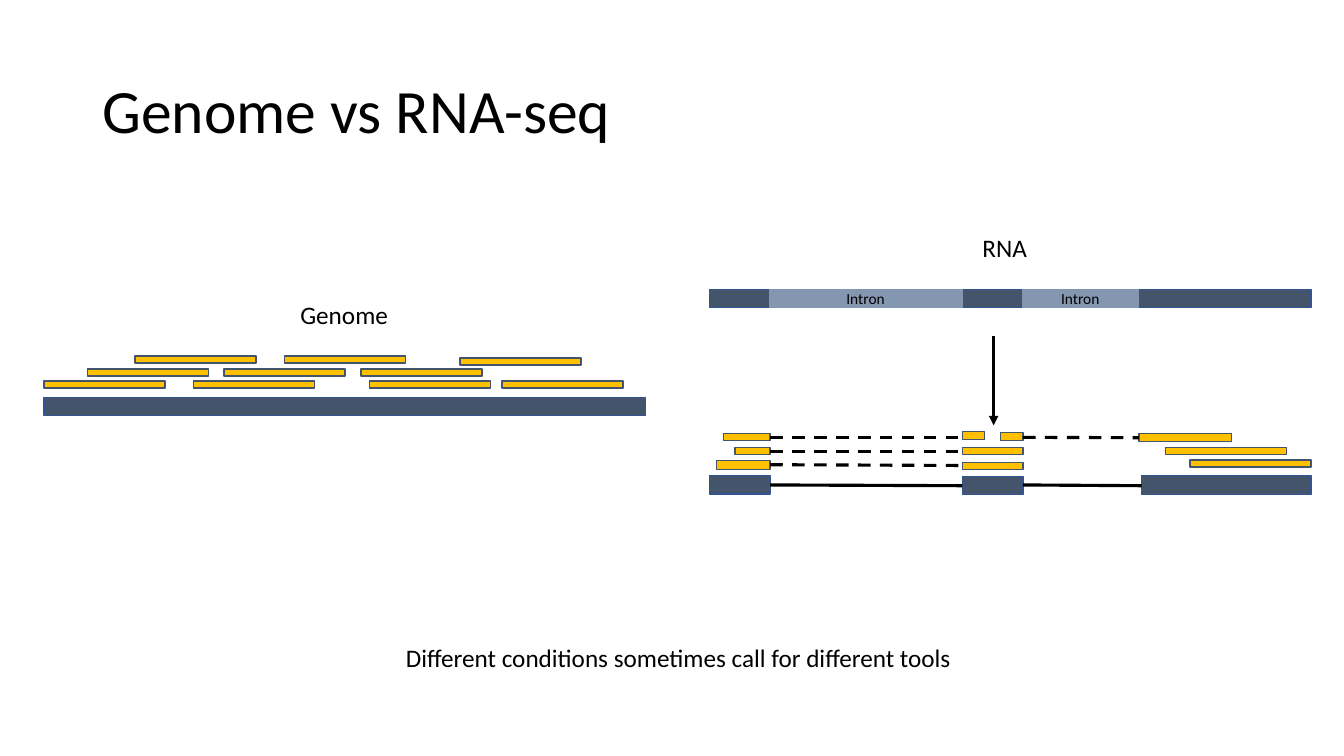
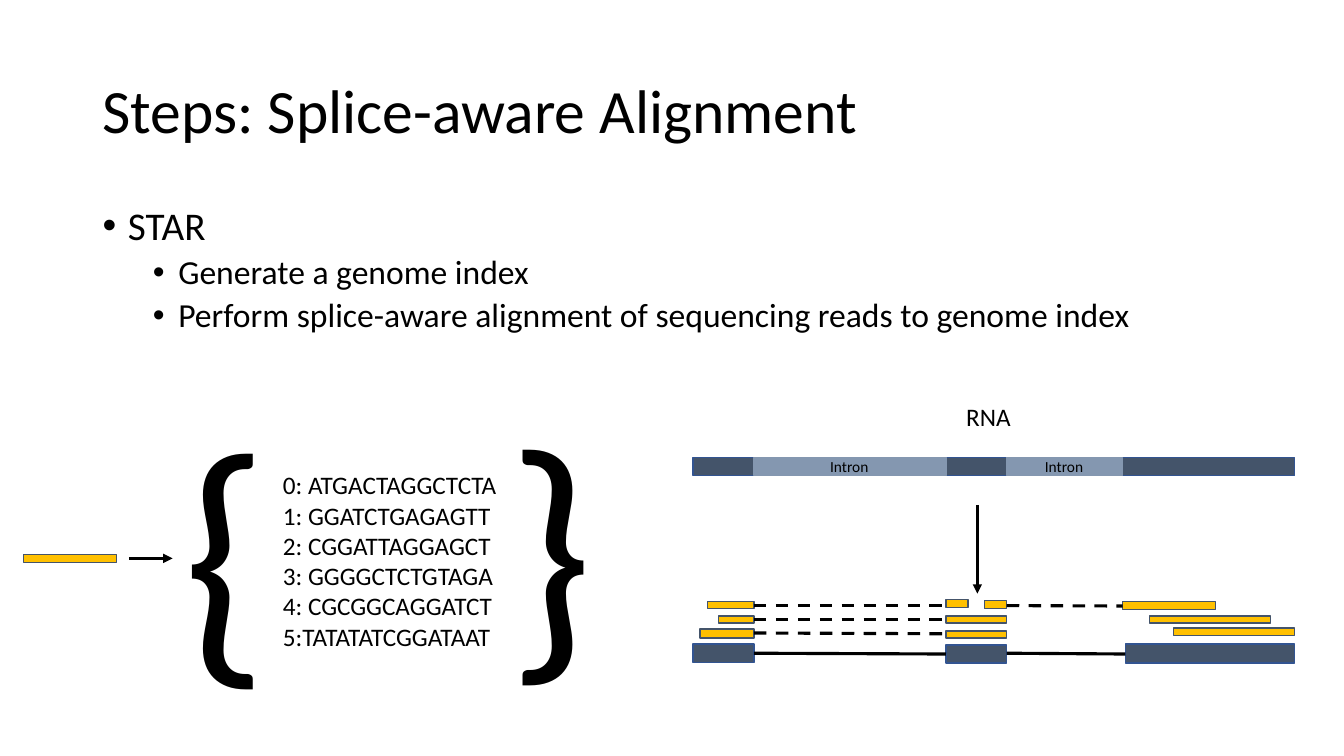
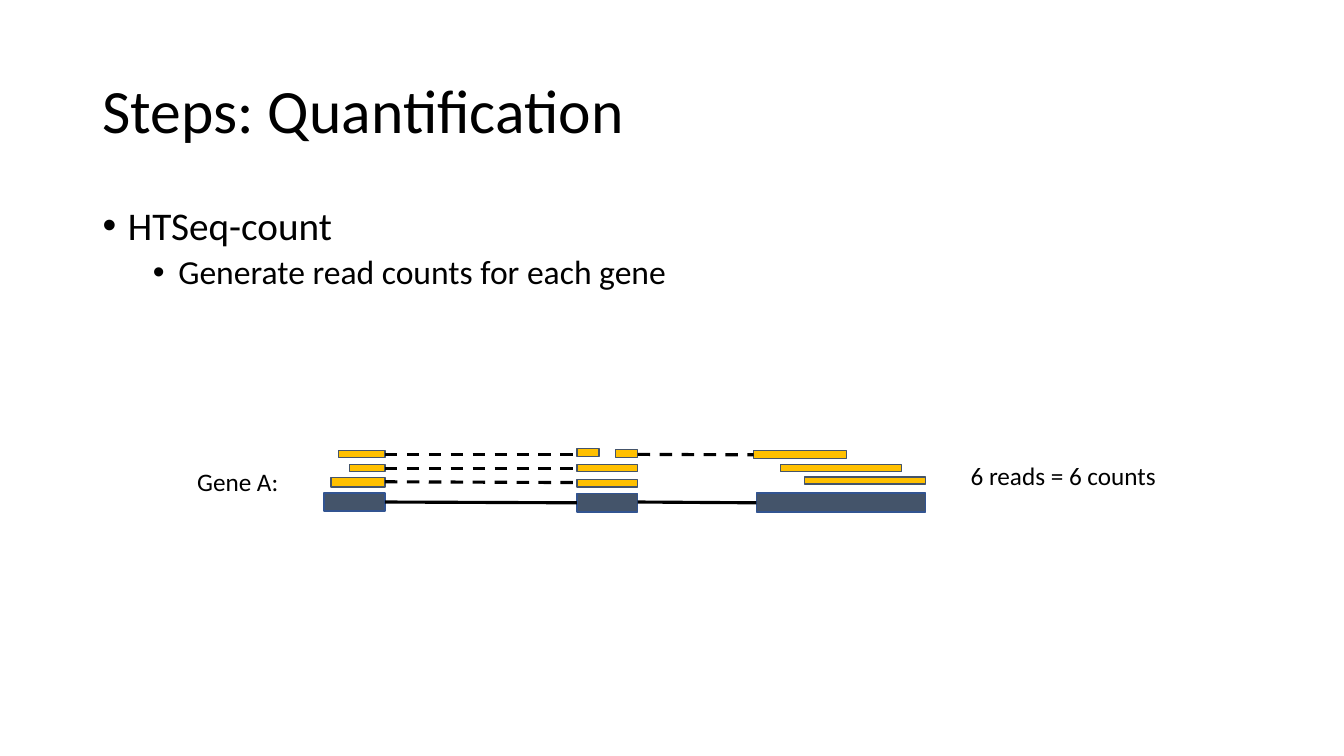
from lxml.etree import SubElement
from pptx import Presentation
from pptx.dml.color import RGBColor
from pptx.enum.dml import MSO_LINE
from pptx.enum.shapes import MSO_CONNECTOR, MSO_SHAPE
from pptx.enum.text import MSO_ANCHOR, MSO_AUTO_SIZE, PP_ALIGN
from pptx.oxml.ns import qn
from pptx.util import Cm, Pt

BLACK = RGBColor(0x00, 0x00, 0x00)
EXON = RGBColor(0x44, 0x54, 0x6A)
EXON_EDGE = RGBColor(0x32, 0x54, 0x91)
INTRON = RGBColor(0x84, 0x97, 0xB0)
READ = RGBColor(0xFF, 0xC0, 0x00)
FONT = "Calibri"

TITLE_ONLY, TITLE_AND_CONTENT = 5, 1
TITLE_BOX = (2.33, 1.01, 29.21, 3.68)
BODY_BOX = (2.33, 5.07, 29.21, 12.09)

BULLET_LEVELS = [
    {"size": 28, "before": 10, "margin": 0.64},
    {"size": 24, "before": 5, "margin": 1.91},
]
BULLET_HANG = 0.64

BAR_WIDTH, BAR_HEIGHT = 15.16, 0.46
READ_WIDTH, READ_HEIGHT = 3.05, 0.18
EXON_WIDTH = 1.53
SECOND_EXON, THIRD_EXON = 6.37, 10.89
SECOND_EXON_END = SECOND_EXON + EXON_WIDTH
LAST_READ = 10.82

GENOME_LEFT = 1.11
GENOME_READ_ROWS = [
    (9.6, [1.11, 4.87, 9.31, 12.65]),
    (9.3, [2.21, 5.65, 9.1]),
    (9.02, [11.59]),
    (8.97, [3.4, 7.17]),
]

EXONS = [
    (0, 1.12, EXON_WIDTH, BAR_HEIGHT),
    (SECOND_EXON, 1.14, EXON_WIDTH, BAR_HEIGHT),
    (THIRD_EXON, 1.12, 4.27, 0.48),
]
SPLICED_READS = [
    (0.17, 0.74, 1.36, 0.23),
    (SECOND_EXON, 0.79, EXON_WIDTH, READ_HEIGHT),
    (12.11, 0.72, READ_WIDTH, READ_HEIGHT),
    (11.5, 0.41, READ_WIDTH, READ_HEIGHT),
    (0.64, 0.41, 0.89, READ_HEIGHT),
    (SECOND_EXON, 0.41, EXON_WIDTH, READ_HEIGHT),
    (0.36, 0.05, 1.17, READ_HEIGHT),
    (LAST_READ, 0.05, 2.34, 0.2),
    (7.34, 0.03, 0.56, 0.2),
    (SECOND_EXON, 0, 0.56, 0.2),
]
EXON_LINKS = [
    (EXON_WIDTH, 1.35, SECOND_EXON, 1.37),
    (SECOND_EXON_END, 1.35, THIRD_EXON, 1.37),
]
READ_LINKS = [
    (EXON_WIDTH, 0.84, SECOND_EXON, 0.86),
    (EXON_WIDTH, 0.5, SECOND_EXON, 0.5),
    (EXON_WIDTH, 0.15, SECOND_EXON, 0.15),
    (SECOND_EXON_END, 0.15, LAST_READ, 0.16),
]
INTRONS = [(EXON_WIDTH, 4.85, 3.2), (SECOND_EXON_END, 2.92, 8.61)]

INDEX_TEXT = (
    "0: ATGACTAGGCTCTA\n1: GGATCTGAGAGTT\v2: CGGATTAGGAGCT\n"
    "3: GGGGCTCTGTAGA\n4: CGCGGCAGGATCT\n5:TATATATCGGATAAT"
)


def set_values(target, values):
    for name, value in values.items():
        setattr(target, name, value)


def place(shape, box):
    sides = ("left", "top", "width", "height")
    set_values(shape, {side: Cm(value) for side, value in zip(sides, box)})


def set_font(font, size):
    set_values(font, {"name": FONT, "size": Pt(size)})
    font.color.rgb = BLACK


def add_titled_slide(presentation, title, layout=TITLE_ONLY):
    slide = presentation.slides.add_slide(presentation.slide_layouts[layout])
    shape = slide.shapes.title
    place(shape, TITLE_BOX)
    frame = shape.text_frame
    frame.text = title
    set_values(frame, {"vertical_anchor": MSO_ANCHOR.MIDDLE, "auto_size": MSO_AUTO_SIZE.NONE})
    paragraph = frame.paragraphs[0]
    set_values(paragraph, {"alignment": PP_ALIGN.LEFT, "line_spacing": 0.9})
    set_font(paragraph.runs[0].font, 44)
    return slide


def fill_bullets(slide, items):
    shape = slide.placeholders[1]
    place(shape, BODY_BOX)
    frame = shape.text_frame
    frame.text = "\n".join(text for level, text in items)
    frame.auto_size = MSO_AUTO_SIZE.NONE
    for paragraph, (level, text) in zip(frame.paragraphs, items):
        style = BULLET_LEVELS[level]
        set_values(paragraph, {
            "level": level,
            "line_spacing": 0.9,
            "space_before": Pt(style["before"]),
        })
        set_font(paragraph.runs[0].font, style["size"])
        properties = paragraph._p.get_or_add_pPr()
        properties.set("marL", str(Cm(style["margin"])))
        properties.set("indent", str(-Cm(BULLET_HANG)))
        SubElement(properties, qn("a:buFont"), typeface="Arial")
        SubElement(properties, qn("a:buChar"), char="•")


def add_label(slide, text, box, size=18):
    frame = slide.shapes.add_textbox(*map(Cm, box)).text_frame
    frame.text = text
    set_values(frame, {"word_wrap": False, "auto_size": MSO_AUTO_SIZE.SHAPE_TO_FIT_TEXT})
    for paragraph in frame.paragraphs:
        for run in paragraph.runs:
            set_font(run.font, size)


def add_bar(slide, box, fill, edge):
    shape = slide.shapes.add_shape(MSO_SHAPE.RECTANGLE, *map(Cm, box))
    shape.shadow.inherit = False
    shape.fill.solid()
    shape.fill.fore_color.rgb = fill
    shape.line.color.rgb = edge
    shape.line.width = Pt(1)


def add_exon(slide, box):
    add_bar(slide, box, EXON, EXON_EDGE)


def add_read(slide, box):
    add_bar(slide, box, READ, EXON)


def add_line(slide, ends, dashed=False, arrow=False):
    connector = slide.shapes.add_connector(MSO_CONNECTOR.STRAIGHT, *map(Cm, ends))
    line = connector.line
    line.color.rgb = BLACK
    line.width = Pt(2.25)
    if dashed:
        line.dash_style = MSO_LINE.DASH
    if arrow:
        SubElement(line._get_or_add_ln(), qn("a:tailEnd"), type="triangle")
    SubElement(connector._element.spPr, qn("a:effectLst"))


def add_spliced_alignment(slide, left, top):
    def shift_box(box):
        x, y, width, height = box
        return left + x, top + y, width, height

    def shift_ends(ends):
        x1, y1, x2, y2 = ends
        return left + x1, top + y1, left + x2, top + y2

    for box in EXONS:
        add_exon(slide, shift_box(box))
    for ends in EXON_LINKS:
        add_line(slide, shift_ends(ends))
    for box in SPLICED_READS:
        add_read(slide, shift_box(box))
    for ends in READ_LINKS:
        add_line(slide, shift_ends(ends), dashed=True)


def add_rna_splicing(slide, left, top):
    bar_top = top - 3.58
    add_label(slide, "RNA", (left + 6.63, top - 5.13, 1.65, 1.02))
    add_exon(slide, (left, bar_top, BAR_WIDTH, BAR_HEIGHT))
    for x, width, label_x in INTRONS:
        add_bar(slide, (left + x, bar_top, width, BAR_HEIGHT), INTRON, INTRON)
        add_label(slide, "Intron", (left + label_x, top - 3.71, 1.5, 0.74), 11)
    arrow_x = left + 7.16
    add_line(slide, (arrow_x, top - 2.39, arrow_x, top - 0.15), arrow=True)
    add_spliced_alignment(slide, left, top)


def add_comparison_slide(presentation):
    slide = add_titled_slide(presentation, "Genome vs RNA-seq")
    add_label(slide, "Genome", (7.32, 7.42, 2.74, 1.02))
    add_exon(slide, (GENOME_LEFT, 10.01, BAR_WIDTH, BAR_HEIGHT))
    for top, lefts in GENOME_READ_ROWS:
        for left in lefts:
            add_read(slide, (left, top, READ_WIDTH, READ_HEIGHT))
    add_rna_splicing(slide, 17.88, 10.87)
    add_label(slide, "Different conditions sometimes call for different tools ",
              (9.98, 16.05, 14.58, 1.02))


def add_alignment_slide(presentation):
    slide = add_titled_slide(presentation, "Steps: Splice-aware Alignment", TITLE_AND_CONTENT)
    fill_bullets(slide, [
        (0, "STAR"),
        (1, "Generate a genome index"),
        (1, "Perform splice-aware alignment of sequencing reads to genome index"),
    ])
    add_rna_splicing(slide, 17.47, 15.11)
    add_read(slide, (0.6, 13.97, 2.34, 0.2))
    add_line(slide, (3.25, 14.07, 4.35, 14.07), arrow=True)
    add_label(slide, "{", (4.34, 9.4, 2.72, 8.64), 196)
    add_label(slide, "}", (12.55, 9.3, 2.72, 8.64), 196)
    add_label(slide, INDEX_TEXT, (6.88, 11.71, 5.94, 4.88))


def add_quantification_slide(presentation):
    slide = add_titled_slide(presentation, "Steps: Quantification", TITLE_AND_CONTENT)
    fill_bullets(slide, [
        (0, "HTSeq-count"),
        (1, "Generate read counts for each gene"),
    ])
    add_spliced_alignment(slide, 8.17, 11.3)
    add_label(slide, "Gene A:", (4.72, 11.63, 2.59, 1.02))
    add_label(slide, "6 reads = 6 counts", (24.21, 11.48, 5.23, 1.02))


def main():
    presentation = Presentation()
    set_values(presentation, {"slide_width": Cm(33.87), "slide_height": Cm(19.05)})
    add_comparison_slide(presentation)
    add_alignment_slide(presentation)
    add_quantification_slide(presentation)
    presentation.save("out.pptx")


main()
